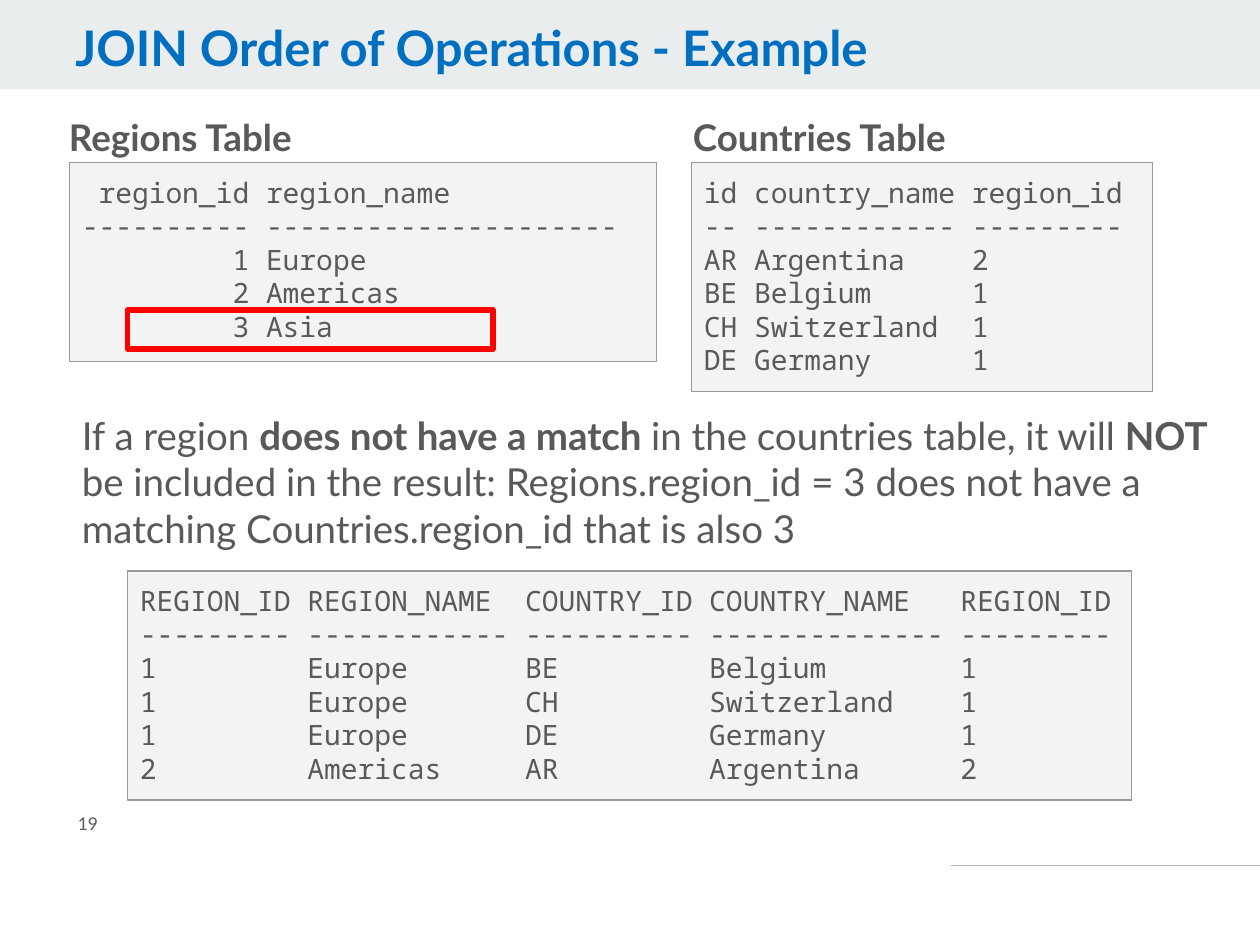
from pptx import Presentation
from pptx.dml.color import RGBColor
from pptx.enum.shapes import MSO_CONNECTOR, MSO_SHAPE
from pptx.enum.text import MSO_ANCHOR, PP_ALIGN
from pptx.oxml.ns import qn
from pptx.util import Cm, Pt
from lxml.etree import SubElement

GREY = "595959"
HEADING_FONT = "Lato"
LISTING_FONT = "Noto Sans Mono"


def color(hex_code):
    return RGBColor.from_string(hex_code)


def write(frame, paragraphs, font, size, ink=GREY, inset_y=0.25):
    """Fill a text frame; each paragraph is a list of (text, bold) runs."""
    frame.word_wrap = True
    frame.vertical_anchor = MSO_ANCHOR.TOP
    frame.margin_left = frame.margin_right = Cm(0.25)
    frame.margin_top = frame.margin_bottom = Cm(inset_y)
    for number, runs in enumerate(paragraphs):
        paragraph = frame.add_paragraph() if number else frame.paragraphs[0]
        paragraph.alignment = PP_ALIGN.LEFT
        for text, bold in runs:
            run = paragraph.add_run()
            run.text = text
            run.font.name = font
            run.font.size = Pt(size)
            run.font.bold = bold
            run.font.color.rgb = color(ink)


presentation = Presentation()
presentation.slide_width = Cm(25.4)
presentation.slide_height = Cm(19.05)
slide = presentation.slides.add_slide(presentation.slide_layouts[6])
shapes = slide.shapes

# Footer rule and title band
footer_rule = shapes.add_connector(
    MSO_CONNECTOR.STRAIGHT, Cm(19.18), Cm(17.45), Cm(25.4), Cm(17.45))
footer_rule.line.color.rgb = color("B7B7B7")
footer_rule.line.width = Pt(0.75)
SubElement(footer_rule._element.spPr, qn("a:effectLst"))

title_band = shapes.add_shape(MSO_SHAPE.RECTANGLE, 0, 0, Cm(25.4), Cm(1.8))
title_band.shadow.inherit = False
title_band.fill.solid()
title_band.fill.fore_color.rgb = color("E9EDEE")
title_band.line.fill.background()

title = shapes.add_textbox(Cm(1.27), Cm(0.36), Cm(20.02), Cm(1.4)).text_frame
write(title, [[("JOIN Order of Operations - Example", True)]],
      HEADING_FONT, 28, "006FBF", inset_y=0.13)
title.paragraphs[0].line_spacing = 0.9

page_number = shapes.add_textbox(Cm(1.32), Cm(15.88), Cm(3.12), Cm(1.45)).text_frame
write(page_number, [[("19", False)]], HEADING_FONT, 10)
page_number.vertical_anchor = MSO_ANCHOR.MIDDLE

# Query listings: left, top, width, height, lines
listings = [
    (1.4, 3.28, 11.84, 4.01, [
        " region_id region_name",
        "---------- ---------------------",
        "         1 Europe",
        "         2 Americas",
        "         3 Asia",
    ]),
    (13.94, 3.28, 9.3, 4.62, [
        "id country_name region_id",
        "-- ------------ ---------",
        "AR Argentina    2",
        "BE Belgium      1",
        "CH Switzerland  1",
        "DE Germany      1",
    ]),
    (2.57, 11.51, 20.24, 4.62, [
        "REGION_ID REGION_NAME  COUNTRY_ID COUNTRY_NAME   REGION_ID",
        "--------- ------------ ---------- -------------- ---------",
        "1         Europe       BE         Belgium        1",
        "1         Europe       CH         Switzerland    1",
        "1         Europe       DE         Germany        1",
        "2         Americas     AR         Argentina      2",
    ]),
]
for left, top, width, height, lines in listings:
    listing = shapes.add_shape(
        MSO_SHAPE.RECTANGLE, Cm(left), Cm(top), Cm(width), Cm(height))
    listing.shadow.inherit = False
    listing.fill.solid()
    listing.fill.fore_color.rgb = color("F3F3F3")
    listing.line.color.rgb = color("999999")
    listing.line.width = Pt(0.75)
    write(listing.text_frame, [[(line, False)] for line in lines], LISTING_FONT, 16)

explanation = shapes.add_textbox(Cm(1.4), Cm(8.18), Cm(23.29), Cm(3.07)).text_frame
write(explanation, [[
    ("If a region ", False),
    ("does not have a match ", True),
    ("in the countries table, it will ", False),
    ("NOT", True),
    (" be included in the result: Regions.region_id = 3 does not have a "
     "matching Countries.region_id that is also 3", False),
]], HEADING_FONT, 22, inset_y=0.13)

for heading, left, width in [("Regions Table", 1.14, 5.21),
                             ("Countries Table", 13.72, 7.37)]:
    caption = shapes.add_textbox(Cm(left), Cm(2.18), Cm(width), Cm(1.07)).text_frame
    write(caption, [[(heading, True)]], HEADING_FONT, 21, inset_y=0.13)

# Frame around the region without a match
unmatched_region = shapes.add_shape(
    MSO_SHAPE.RECTANGLE, Cm(2.57), Cm(6.25), Cm(7.37), Cm(0.79))
unmatched_region.shadow.inherit = False
unmatched_region.fill.background()
unmatched_region.line.color.rgb = color("FF0000")
unmatched_region.line.width = Pt(3)

presentation.save("out.pptx")
